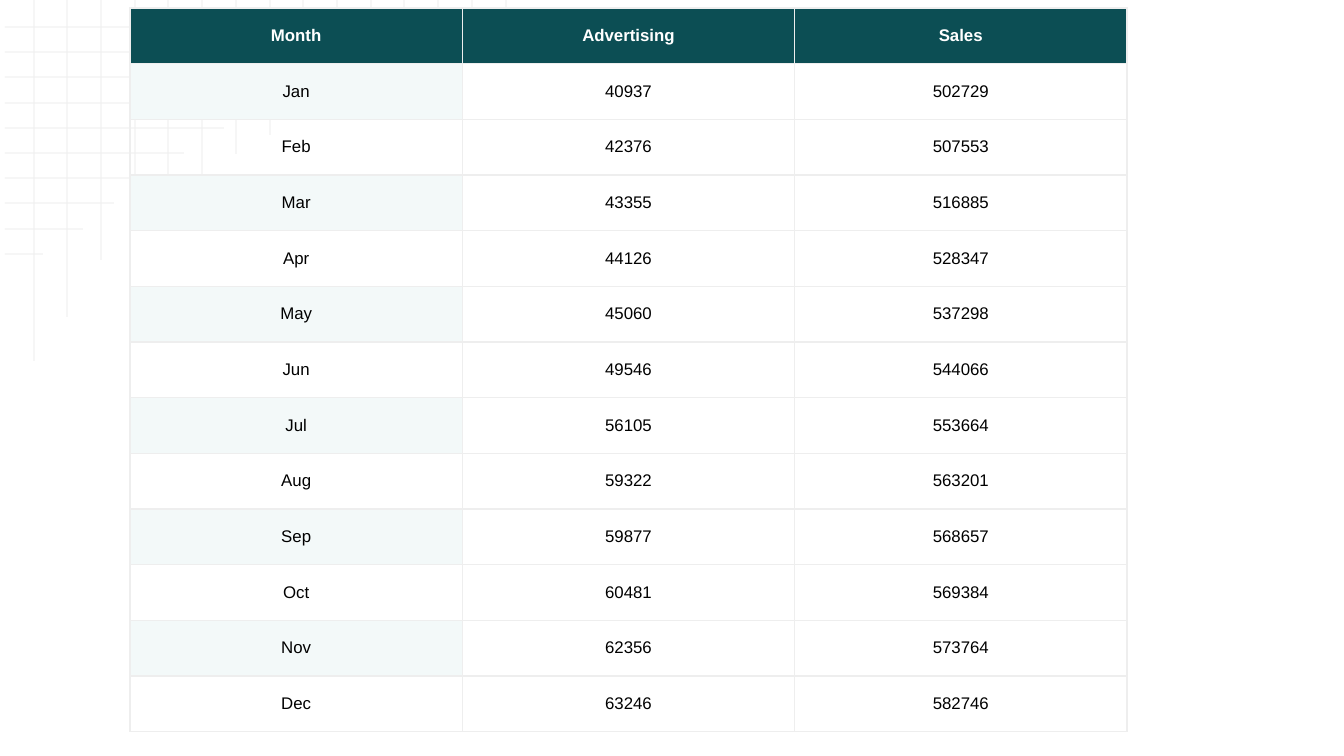
from dataclasses import dataclass

from lxml.etree import SubElement
from pptx import Presentation
from pptx.dml.color import RGBColor
from pptx.enum.shapes import MSO_CONNECTOR as Connector
from pptx.enum.text import MSO_ANCHOR as Anchor, PP_ALIGN as Align
from pptx.oxml.ns import qn
from pptx.util import Pt

EMU_PER_PX = 914400 / 134.4


def px(length):
    return round(length * EMU_PER_PX)


@dataclass(frozen=True)
class Theme:
    font: str = "Arial"
    text_size: float = 9
    header_fill: str = "0C4E54"
    header_text: str = "FFFFFF"
    band_fill: str = "F3F9F9"
    body_text: str = "000000"
    border: str = "EEEEEE"
    border_width: float = 0.75
    grid: str = "EFEFEF"
    grid_width: float = 1
    grid_opacity: int = 54


class SlideBuilder:
    def __init__(self, slide, theme):
        self.slide = slide
        self.theme = theme

    def grid_lines(self, segments):
        group = self.slide.shapes.add_group_shape()
        for segment in segments:
            rule = group.shapes.add_connector(Connector.STRAIGHT, *map(px, segment))
            rule.line.width = Pt(self.theme.grid_width)
            rule.line.color.rgb = RGBColor.from_string(self.theme.grid)
            properties = rule._element.spPr
            color = properties.find(".//" + qn("a:srgbClr"))
            SubElement(color, qn("a:alpha"), val=str(self.theme.grid_opacity * 1000))
            SubElement(properties, qn("a:effectLst"))

    def table(self, rows, left, top, width, height):
        frame = self.slide.shapes.add_table(
            len(rows), len(rows[0]), *map(px, (left, top, width, height)))
        table = frame.table
        table.first_row = table.horz_banding = False
        for r, values in enumerate(rows):
            for c, value in enumerate(values):
                header = r == 0
                banded = c == 0 and r % 2 == 1
                fill = (self.theme.header_fill if header
                        else self.theme.band_fill if banded else None)
                self.cell(table.cell(r, c), value, fill, header)

    def cell(self, cell, value, fill, header):
        layout = {"vertical_anchor": Anchor.MIDDLE}
        layout.update({f"margin_{side}": px(9)
                       for side in ("left", "right", "top", "bottom")})
        for name, setting in layout.items():
            setattr(cell, name, setting)

        paragraph = cell.text_frame.paragraphs[0]
        paragraph.alignment = Align.CENTER
        run = paragraph.add_run()
        run.text = str(value)
        style = {"name": self.theme.font, "size": Pt(self.theme.text_size), "bold": header}
        for name, setting in style.items():
            setattr(run.font, name, setting)
        run.font.color.rgb = RGBColor.from_string(
            self.theme.header_text if header else self.theme.body_text)

        # Borders come before the fill in the cell properties
        properties = cell._tc.get_or_add_tcPr()
        for edge in ("lnL", "lnR", "lnT", "lnB"):
            border = SubElement(properties, qn(f"a:{edge}"),
                                w=str(Pt(self.theme.border_width)))
            solid = SubElement(border, qn("a:solidFill"))
            SubElement(solid, qn("a:srgbClr"), val=self.theme.border)
        if fill:
            cell.fill.solid()
            cell.fill.fore_color.rgb = RGBColor.from_string(fill)
        else:
            cell.fill.background()


MONTHLY_FIGURES = [
    ("Month", "Advertising", "Sales"),
    ("Jan", 40937, 502729),
    ("Feb", 42376, 507553),
    ("Mar", 43355, 516885),
    ("Apr", 44126, 528347),
    ("May", 45060, 537298),
    ("Jun", 49546, 544066),
    ("Jul", 56105, 553664),
    ("Aug", 59322, 563201),
    ("Sep", 59877, 568657),
    ("Oct", 60481, 569384),
    ("Nov", 62356, 573764),
    ("Dec", 63246, 582746),
]

# Where each line of the corner grid ends, in px
ROW_ENDS = [482, 396, 324, 278, 224, 184, 151, 114, 83, 43]
COLUMN_ENDS = [361, 317, 260, 228, 203, 182, 154, 135, 113, 97, 75, 52, 38, 27, 22]


def main():
    deck = Presentation()
    deck.slide_width, deck.slide_height = px(1344), px(756)
    builder = SlideBuilder(deck.slides.add_slide(deck.slide_layouts[6]), Theme())

    # Fading grid in the top left corner
    row_ys = [round(27 + 25.2 * i) for i in range(len(ROW_ENDS))]
    column_xs = [round(33.7 * (i + 1)) for i in range(len(COLUMN_ENDS))]
    builder.grid_lines(
        [(5, y, end, y) for y, end in zip(row_ys, ROW_ENDS)]
        + [(x, end, x, 0) for x, end in zip(column_xs, COLUMN_ENDS)])

    # Monthly advertising and sales
    builder.table(MONTHLY_FIGURES, left=130, top=8, width=997, height=724)

    deck.save("out.pptx")


if __name__ == "__main__":
    main()
